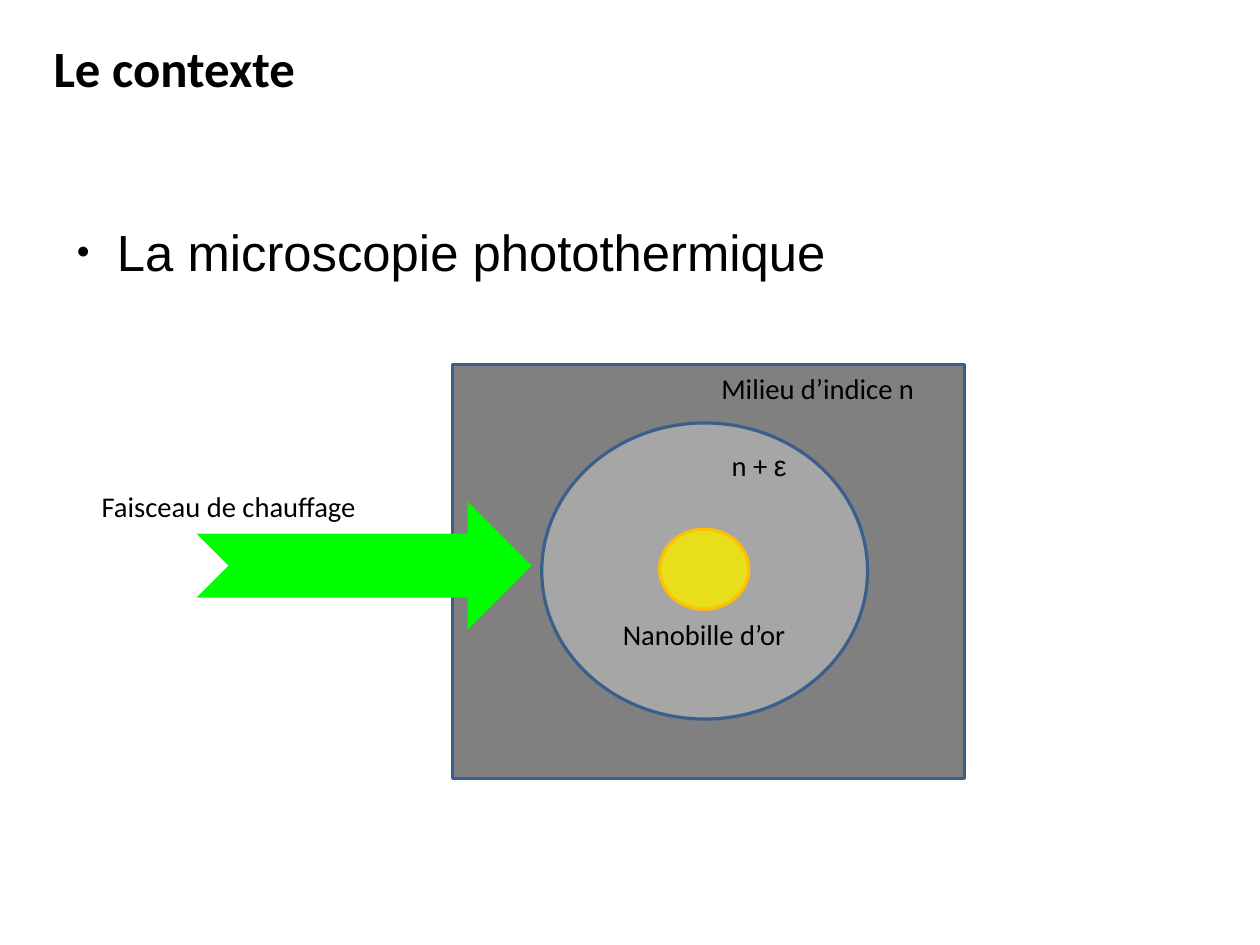
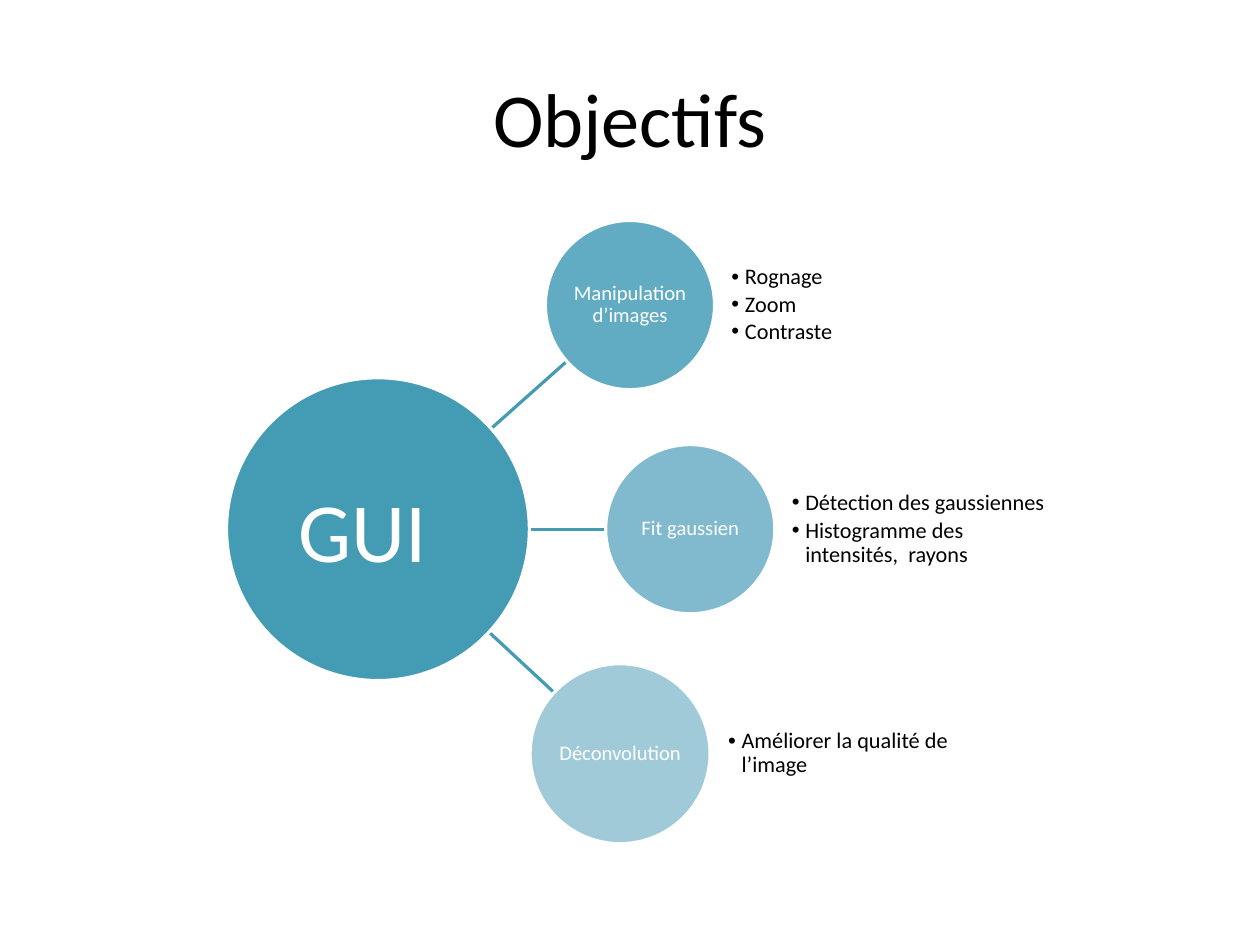
import math

import pptx
import pptx.dml.color
import pptx.enum.shapes
import pptx.enum.text
import pptx.util
from lxml import etree
from pptx.oxml.ns import qn
from pptx.util import Cm

RGB = pptx.dml.color.RGBColor.from_string
SHAPES = pptx.enum.shapes.MSO_SHAPE
ALIGN = pptx.enum.text.PP_ALIGN
ANCHOR = pptx.enum.text.MSO_ANCHOR


class Theme:
    black = RGB("000000")
    white = RGB("FFFFFF")
    medium = RGB("808080")
    heated_medium = RGB("A6A6A6")
    medium_outline = RGB("3A5F8C")
    gold = RGB("E8DE1C")
    gold_outline = RGB("FFC000")
    beam = RGB("00FF00")
    hub = RGB("449CB4")
    branches = [RGB("61ACC2"), RGB("81BACE"), RGB("A1CAD9")]
    font = "Calibri"
    body_font = "Arial"
    title_size = 48
    left_title_size = 32
    body_size = 32
    hub_size = 53
    label_size = 18
    list_size = 14
    branch_size = 13
    line_width = pptx.util.Pt(2)
    label_insets = (0.28, 0.15)


def write_text(shape, lines, size, color=Theme.black, font=Theme.font, bold=False,
               alignment=ALIGN.LEFT, anchor=ANCHOR.TOP, insets=(0, 0), wrap=True,
               line_spacing=1.0, space_after=0, bullet=None):
    """Fill a shape with paragraphs; bullet is (character, size %, margin cm, hanging cm)."""
    frame = shape.text_frame
    frame.text = "\n".join(lines)
    frame.word_wrap = wrap
    frame.auto_size = pptx.enum.text.MSO_AUTO_SIZE.NONE
    frame.vertical_anchor = anchor
    frame.margin_left = frame.margin_right = Cm(insets[0])
    frame.margin_top = frame.margin_bottom = Cm(insets[1])
    for paragraph in frame.paragraphs:
        paragraph.alignment = alignment
        paragraph.line_spacing = line_spacing
        paragraph.space_after = pptx.util.Pt(space_after)
        for run in paragraph.runs:
            run.font.size = pptx.util.Pt(size)
            run.font.name = font
            run.font.bold = bold
            run.font.color.rgb = color
        if bullet:
            character, percent, margin, hanging = bullet
            properties = paragraph._p.get_or_add_pPr()
            properties.set("marL", str(Cm(margin)))
            properties.set("indent", str(-Cm(hanging)))
            etree.SubElement(properties, qn("a:buSzPct")).set("val", str(percent * 1000))
            etree.SubElement(properties, qn("a:buFont")).set("typeface", Theme.body_font)
            etree.SubElement(properties, qn("a:buChar")).set("char", character)


def add_filled_shape(slide, preset, box, fill, outline=None):
    shape = slide.shapes.add_shape(preset, *map(Cm, box))
    shape.shadow.inherit = False
    shape.fill.solid()
    shape.fill.fore_color.rgb = fill
    if outline is None:
        shape.line.fill.background()
    else:
        shape.line.color.rgb = outline
        shape.line.width = Theme.line_width
    return shape


presentation = pptx.Presentation()
presentation.slide_width = Cm(28)
presentation.slide_height = Cm(21)

titles = [
    ("Le contexte", (0.94, 0.69, 5.92, 1.65),
     dict(size=Theme.left_title_size, bold=True, insets=(0.25, 0.13), wrap=False)),
    ("Objectifs", (1.4, 0.84, 25.2, 3.5),
     dict(size=Theme.title_size, alignment=ALIGN.CENTER, anchor=ANCHOR.MIDDLE)),
]
for text, box, style in titles:
    slide = presentation.slides.add_slide(presentation.slide_layouts[5])
    title = slide.shapes.title
    title.left, title.top, title.width, title.height = map(Cm, box)
    write_text(title, [text], **style)
context_slide, goals_slide = presentation.slides

# Context: a heated gold bead in a medium
add_filled_shape(context_slide, SHAPES.RECTANGLE, (10.06, 8.1, 11.38, 9.2),
                 Theme.medium, Theme.medium_outline)
add_filled_shape(context_slide, SHAPES.OVAL, (12.04, 9.4, 7.24, 6.58),
                 Theme.heated_medium, Theme.medium_outline)
body = context_slide.shapes.add_textbox(Cm(1.4), Cm(4.9), Cm(25.2), Cm(2))
write_text(body, ["La microscopie photothermique"], Theme.body_size,
           font=Theme.body_font, bullet=("●", 45, 1.2, 0.9))
add_filled_shape(context_slide, SHAPES.OVAL, (14.66, 11.76, 1.98, 1.78),
                 Theme.gold, Theme.gold_outline)
add_filled_shape(context_slide, SHAPES.NOTCHED_RIGHT_ARROW, (4.37, 11.15, 7.44, 2.84),
                 Theme.beam)

labels = [
    ("Milieu d’indice n", 15.75, 8.1, 9.63),
    ("Faisceau de chauffage", 1.98, 10.72, 7.01),
    ("Nanobille d’or", 13.56, 13.56, 11.38),
    ("n + ", 15.98, 9.8, 2.62),
]
for text, left, top, width in labels:
    label = context_slide.shapes.add_textbox(Cm(left), Cm(top), Cm(width), Cm(1.04))
    write_text(label, [text], Theme.label_size, insets=Theme.label_insets)
epsilon = label.text_frame.paragraphs[0].add_run()
epsilon.text = "ε"
epsilon.font.size = pptx.util.Pt(Theme.label_size)
epsilon.font.name = Theme.body_font
epsilon.font.color.rgb = Theme.black

# Goals: a hub and its branches, each at (centre x, centre y, diameter)
hub_x, hub_y, hub_diameter = 8.4, 11.76, 6.73
spoke_start = 10.74
branches = [
    ("Manipulation d’images", 14, 6.78, 3.76, ["Rognage", "Zoom", "Contraste"]),
    ("Fit gaussien", 15.34, 11.76, 3.76,
     ["Détection des gaussiennes", "Histogramme des intensités,  rayons"]),
    ("Déconvolution", 13.78, 16.75, 4, ["Améliorer la qualité de l’image"]),
]
for name, x, y, diameter, goals in branches:
    distance = math.hypot(x - hub_x, y - hub_y)
    start_y = hub_y + (spoke_start - hub_x) * (y - hub_y) / (x - hub_x)
    edge = diameter / 2 / distance
    spoke = goals_slide.shapes.add_connector(
        pptx.enum.shapes.MSO_CONNECTOR.STRAIGHT, Cm(spoke_start), Cm(start_y),
        Cm(x - edge * (x - hub_x)), Cm(y - edge * (y - hub_y)))
    spoke.line.color.rgb = Theme.hub
    spoke.line.width = Theme.line_width
    etree.SubElement(spoke._element.spPr, qn("a:effectLst"))

add_filled_shape(goals_slide, SHAPES.OVAL,
                 (hub_x - hub_diameter / 2, hub_y - hub_diameter / 2,
                  hub_diameter, hub_diameter), Theme.hub, Theme.white)
for (name, x, y, diameter, goals), fill in zip(branches, Theme.branches):
    top = y - diameter / 2
    disc = add_filled_shape(goals_slide, SHAPES.OVAL,
                            (x - diameter / 2, top, diameter, diameter), fill, Theme.white)
    write_text(disc, [name], Theme.branch_size, Theme.white, alignment=ALIGN.CENTER,
               anchor=ANCHOR.MIDDLE, insets=(0.02, 0.02), line_spacing=0.9)
    goal_list = goals_slide.shapes.add_textbox(
        Cm(x + 0.6 * diameter), Cm(top), Cm(1.5 * diameter), Cm(diameter))
    write_text(goal_list, goals, Theme.list_size, anchor=ANCHOR.MIDDLE,
               line_spacing=0.9, space_after=2.1, bullet=("•", 100, 0.3, 0.3))

hub_label = goals_slide.shapes.add_textbox(Cm(6.35), Cm(10.49), Cm(4.17), Cm(2.54))
write_text(hub_label, ["GUI"], Theme.hub_size, Theme.white, insets=Theme.label_insets)

presentation.save("out.pptx")
